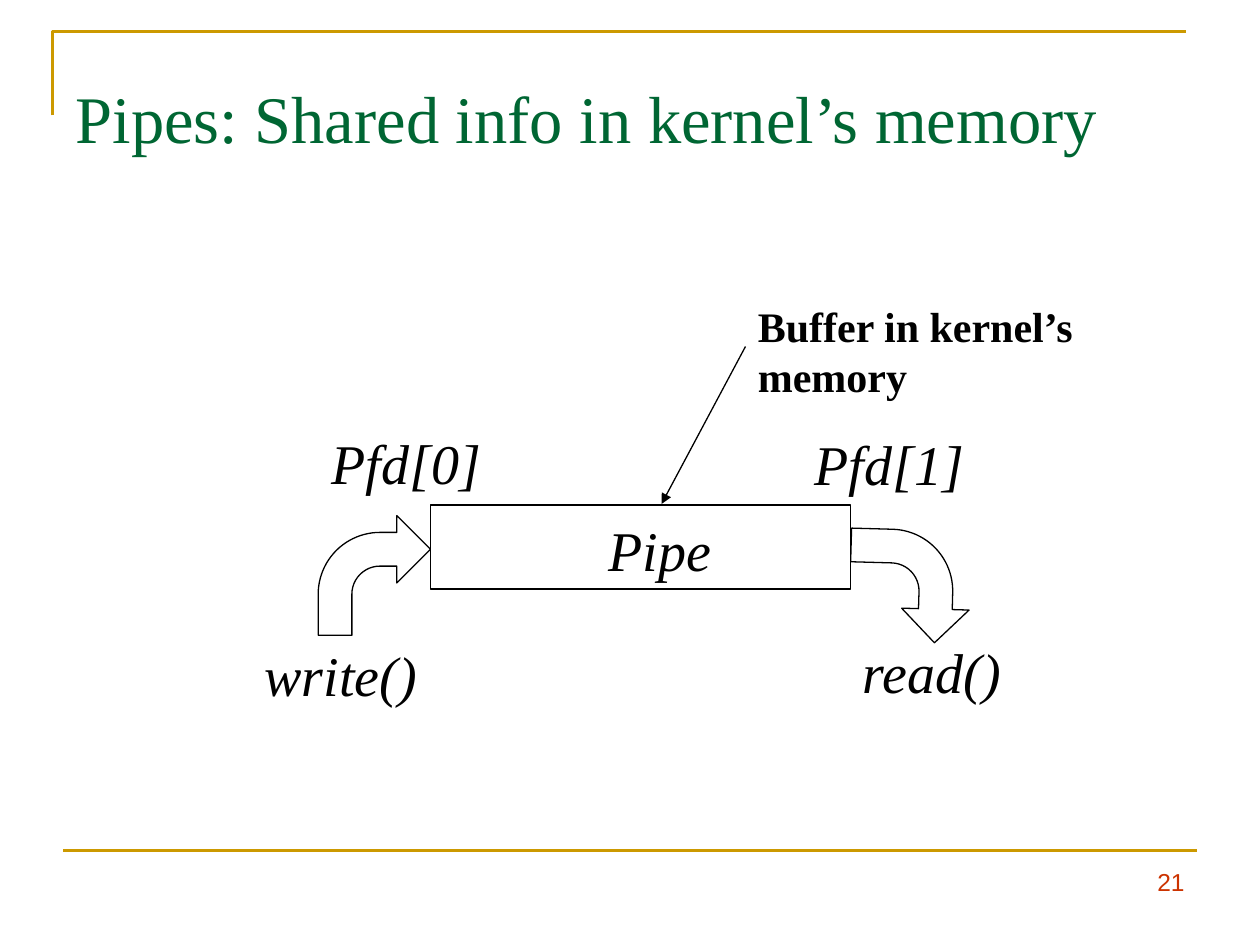
"""Build the slide on pipes in kernel memory."""
from dataclasses import dataclass

from lxml import etree
from pptx import Presentation
from pptx.dml.color import RGBColor
from pptx.enum.shapes import MSO_CONNECTOR, MSO_SHAPE
from pptx.enum.text import MSO_ANCHOR, MSO_AUTO_SIZE, PP_ALIGN
from pptx.oxml.ns import qn
from pptx.util import Inches, Pt

RECT, BENT = MSO_SHAPE.RECTANGLE, MSO_SHAPE.BENT_ARROW
LINE = MSO_CONNECTOR.STRAIGHT
TOP, MID = MSO_ANCHOR.TOP, MSO_ANCHOR.MIDDLE
LEFT, RIGHT = PP_ALIGN.LEFT, PP_ALIGN.RIGHT
FIXED, GROW = MSO_AUTO_SIZE.NONE, MSO_AUTO_SIZE.SHAPE_TO_FIT_TEXT
COLS, ROWS = 120, 90


@dataclass(frozen=True)
class Theme:
    """Colours, fonts and sizes."""
    ink: str = "000000"
    paper: str = "FFFFFF"
    gold: str = "CC9900"
    green: str = "006633"
    red: str = "CC3300"
    serif: str = "Times New Roman"
    sans: str = "Arial"
    head: float = 38
    label: float = 32
    note: float = 24
    page: float = 14
    thin: float = 0.74
    bold: float = 1.5


@dataclass(frozen=True)
class Box:
    """A frame in grid columns and rows."""
    col: float
    row: float
    wide: float
    high: float


@dataclass(frozen=True)
class Label:
    """An italic word and its frame."""
    text: str
    box: Box


@dataclass(frozen=True)
class Bend:
    """A bent arrow and its turn in degrees."""
    box: Box
    turn: float


THEME = Theme()
LABELS = (
    Label("Pipe", Box(56.8, 48.5, 12.4, 7.7)),
    Label("write()", Box(24, 60.4, 16.9, 7.7)),
    Label("read()", Box(81, 60.1, 15.8, 7.7)),
    Label("Pfd[0]", Box(30.4, 40.2, 16.6, 7.7)),
    Label("Pfd[1]", Box(76.4, 40.3, 16.6, 7.7)),
)
BENDS = (
    Bend(Box(30.3, 49.1, 10.7, 11.4), 0),
    Bend(Box(81.3, 50.1, 10.7, 11.4), 91.6),
)
SHAFT = (0.3, 0.3, 0.3, 0.55)

deck = Presentation()
deck.slide_width, deck.slide_height = Inches(10), Inches(7.5)
slide = deck.slides.add_slide(deck.slide_layouts[5])
shapes = slide.shapes


def spot(col: float, row: float) -> tuple[int, int]:
    """Turn a grid point into slide lengths."""
    return (round(deck.slide_width * col / COLS),
            round(deck.slide_height * row / ROWS))


def frame(box: Box) -> tuple[int, int, int, int]:
    """Turn a grid frame into slide lengths."""
    return spot(box.col, box.row) + spot(box.wide, box.high)


def put(item, values: dict) -> None:
    """Set each named value on an item."""
    for name, value in values.items():
        setattr(item, name, value)


def stroke(item, tint: str, width: float) -> None:
    """Set the line of a shape."""
    item.line.color.rgb = RGBColor.from_string(tint)
    item.line.width = Pt(width)


def write(item, text: str, size: float, tint: str, face: str = THEME.serif,
          align=LEFT, anchor=TOP, wrap: bool = True, **style) -> None:
    """Fill a shape with one styled line of text."""
    body = item.text_frame
    put(body, {"word_wrap": wrap, "vertical_anchor": anchor,
               "auto_size": FIXED if wrap else GROW})
    para = body.paragraphs[0]
    para.alignment = align
    run = para.add_run()
    run.text = text
    put(run.font, {"name": face, "size": Pt(size), **style})
    run.font.color.rgb = RGBColor.from_string(tint)


def draw(kind, box: Box, edge: str = THEME.ink):
    """Add an unfilled preset shape."""
    item = shapes.add_shape(kind, *frame(box))
    item.shadow.inherit = False
    item.fill.background()
    stroke(item, edge, THEME.thin)
    return item


def join(start: tuple, end: tuple, tint: str, width: float,
         tip: bool = False) -> None:
    """Add a straight line, with an arrowhead if asked."""
    item = shapes.add_connector(LINE, *spot(*start), *spot(*end))
    stroke(item, tint, width)
    if tip:
        edge = item.line._get_or_add_ln()
        etree.SubElement(edge, qn("a:tailEnd"), type="triangle")
    etree.SubElement(item._element.spPr, qn("a:effectLst"))


def trim() -> None:
    """Draw the gold corner, the rule and the page number."""
    path = shapes.build_freeform(*spot(5, 11))
    path.add_line_segments([spot(5, 3), spot(113, 3)], close=False)
    corner = path.convert_to_shape()
    corner.shadow.inherit = False
    corner.fill.background()
    stroke(corner, THEME.gold, THEME.bold)
    join((6, 81), (114, 81), THEME.gold, THEME.bold)
    page = shapes.add_textbox(*frame(Box(86, 82, 28, 6.2)))
    write(page, "21", THEME.page, THEME.red, THEME.sans, RIGHT)


def title() -> None:
    """Place and fill the title."""
    item = shapes.title
    names = ("left", "top", "width", "height")
    put(item, dict(zip(names, frame(Box(6, 3.6, 108, 15)))))
    write(item, "Pipes: Shared info in kernel’s memory", THEME.head,
          THEME.green, anchor=MID)


def pipe() -> None:
    """Draw the pipe, its arrows and its labels."""
    draw(RECT, Box(41, 48.1, 40, 8))
    for bend in BENDS:
        item = draw(BENT, bend.box)
        item.rotation = bend.turn
        for place, share in enumerate(SHAFT):
            item.adjustments[place] = share
    for label in LABELS:
        item = shapes.add_textbox(*frame(label.box))
        write(item, label.text, THEME.label, THEME.ink, wrap=False,
              italic=True)


def note() -> None:
    """Draw the buffer note and its pointer."""
    item = draw(RECT, Box(71, 28, 35, 10.8), THEME.paper)
    item.fill.solid()
    item.fill.fore_color.rgb = RGBColor.from_string(THEME.paper)
    write(item, "Buffer in kernel’s memory", THEME.note, THEME.ink, bold=True)
    join((71, 33), (63, 48), THEME.ink, THEME.thin, tip=True)


for step in (trim, title, pipe, note):
    step()
deck.save("out.pptx")
